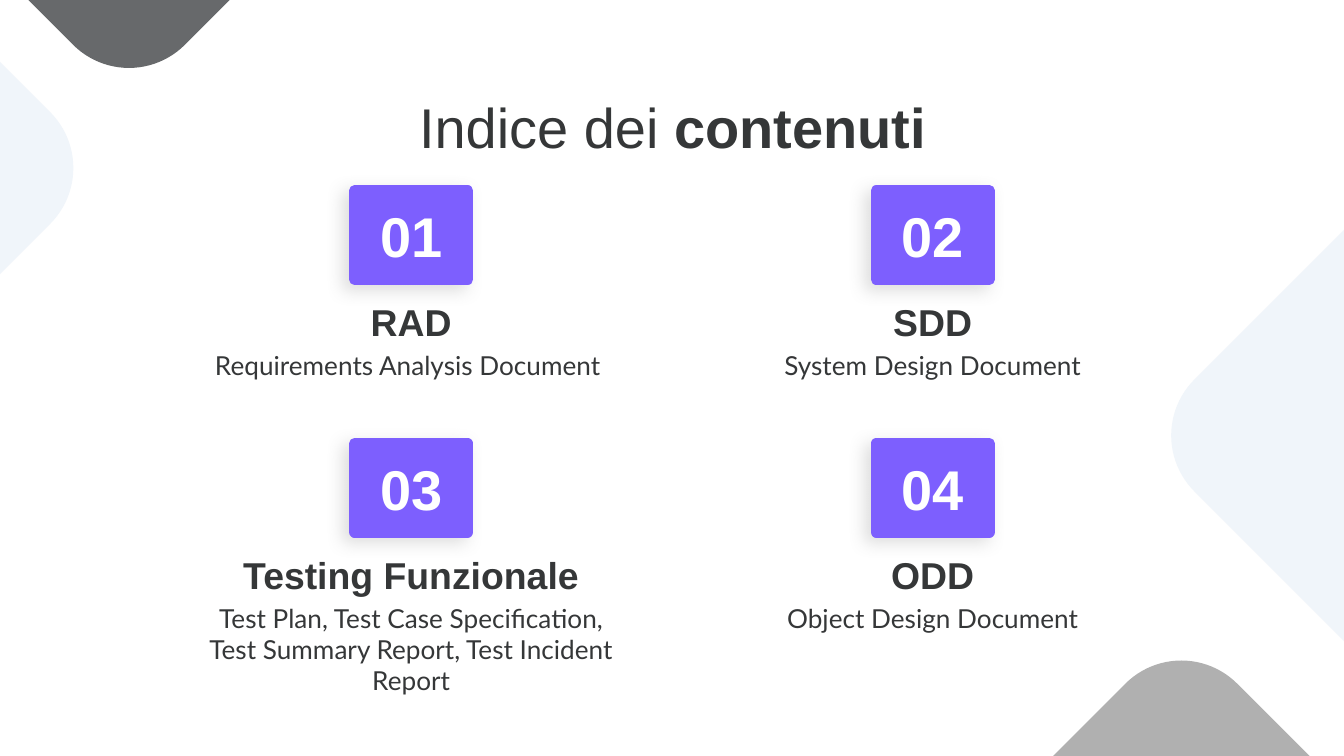
from lxml import etree
from pptx import Presentation
from pptx import util as u
from pptx.dml.color import RGBColor
from pptx.enum import shapes, text
from pptx.oxml.ns import qn

WIDTH = 10
HEIGHT = WIDTH * 9 / 16
INK, VIOLET, WHITE, PALE, GREY = "353738", "7D5FFE", "FFFFFF", "F0F5FA", "B0B0B0"
COLUMN_LEFT, COLUMN_PITCH, COLUMN_WIDTH = 1.36, 3.88, 3.4
ROW_TOP, ROW_PITCH = 1.42, 1.88
BADGE_WIDTH, BADGE_HEIGHT = 0.84, 0.66
DIAMOND_SIDE = 3.52

DIAMONDS = [  # left, top, colour
    (-0.8, -3.5, "67696B"),
    (9.2, 1.48, PALE),
    (-3.46, -0.51, PALE),
    (7.03, 5.4, GREY),
]
CONTENTS = [
    ("RAD", "Requirements Analysis Document "),
    ("SDD", "System Design Document"),
    ("Testing Funzionale",
     "Test Plan, Test Case Specification, Test Summary Report, Test Incident Report"),
    ("ODD", "Object Design Document"),
]


def colour(hex_string):
    return RGBColor.from_string(hex_string)


def box(left, top, width, height):
    return [u.Inches(length) for length in (left, top, width, height)]


def format_run(run, size, font, ink, bold):
    run.font.size = u.Pt(size)
    run.font.name = font
    run.font.bold = bold
    run.font.color.rgb = colour(ink)


def fill_text(shape, content, size, font, ink=INK, bold=False,
              anchor=text.MSO_ANCHOR.TOP):
    frame = shape.text_frame
    frame.text = content
    frame.word_wrap = True
    frame.vertical_anchor = anchor
    frame.margin_left = frame.margin_right = u.Inches(0.1)
    frame.margin_top = frame.margin_bottom = u.Inches(0.1)
    paragraph = frame.paragraphs[0]
    paragraph.alignment = text.PP_ALIGN.CENTER
    for run in paragraph.runs:
        format_run(run, size, font, ink, bold)
    return paragraph


def add_label(slide, place, content, size, font, **style):
    return fill_text(slide.shapes.add_textbox(*box(*place)), content, size, font, **style)


def add_diamond(slide, left, top, fill):
    """Add a rounded square standing on its corner."""
    diamond = slide.shapes.add_shape(
        shapes.MSO_SHAPE.ROUNDED_RECTANGLE, *box(left, top, DIAMOND_SIDE, DIAMOND_SIDE))
    diamond.adjustments[0] = 0.167
    diamond.rotation = 315
    diamond.shadow.inherit = False
    diamond.fill.solid()
    diamond.fill.fore_color.rgb = colour(fill)
    diamond.line.fill.background()


def add_soft_shadow(shape):
    shape.shadow.inherit = False
    effects = shape._element.spPr.find(qn("a:effectLst"))
    shadow = etree.SubElement(
        effects, qn("a:outerShdw"), blurRad=str(u.Pt(9)), dist=str(u.Pt(4.5)),
        dir=str(140 * 60000), algn="bl", rotWithShape="0")
    tint = etree.SubElement(shadow, qn("a:srgbClr"), val=GREY)
    etree.SubElement(tint, qn("a:alpha"), val="40000")


def add_badge(slide, left, top, number):
    badge = slide.shapes.add_shape(
        shapes.MSO_SHAPE.RECTANGLE, *box(left, top, BADGE_WIDTH, BADGE_HEIGHT))
    badge.fill.solid()
    badge.fill.fore_color.rgb = colour(VIOLET)
    badge.line.color.rgb = colour(VIOLET)
    badge.line.width = u.Pt(6)
    etree.SubElement(badge._element.spPr.find(qn("a:ln")), qn("a:round"))
    add_soft_shadow(badge)
    fill_text(badge, f"{number:02}", 30, "Arial", ink=WHITE, bold=True,
              anchor=text.MSO_ANCHOR.MIDDLE)


def add_entry(slide, index, heading, description):
    row, column = divmod(index, 2)
    left = COLUMN_LEFT + column * COLUMN_PITCH
    top = ROW_TOP + row * ROW_PITCH
    add_badge(slide, left + (COLUMN_WIDTH - BADGE_WIDTH) / 2, top, index + 1)
    add_label(slide, (left, top + 0.7, COLUMN_WIDTH, 0.54), heading, 20, "Arial",
              bold=True, anchor=text.MSO_ANCHOR.BOTTOM)
    add_label(slide, (left, top + 1.08, COLUMN_WIDTH, 0.66), description, 14, "Lato")


def add_title(slide):
    paragraph = add_label(slide, (0.79, 0.59, 8.43, 0.69), "Indice dei ", 30, "Arial")
    emphasis = paragraph.add_run()
    emphasis.text = "contenuti"
    format_run(emphasis, 30, "Arial", INK, bold=True)


def main():
    presentation = Presentation()
    presentation.slide_width = u.Inches(WIDTH)
    presentation.slide_height = u.Inches(HEIGHT)
    slide = presentation.slides.add_slide(presentation.slide_layouts[6])
    for diamond in DIAMONDS:
        add_diamond(slide, *diamond)
    add_title(slide)
    for index, entry in enumerate(CONTENTS):
        add_entry(slide, index, *entry)
    presentation.save("out.pptx")


if __name__ == "__main__":
    main()
